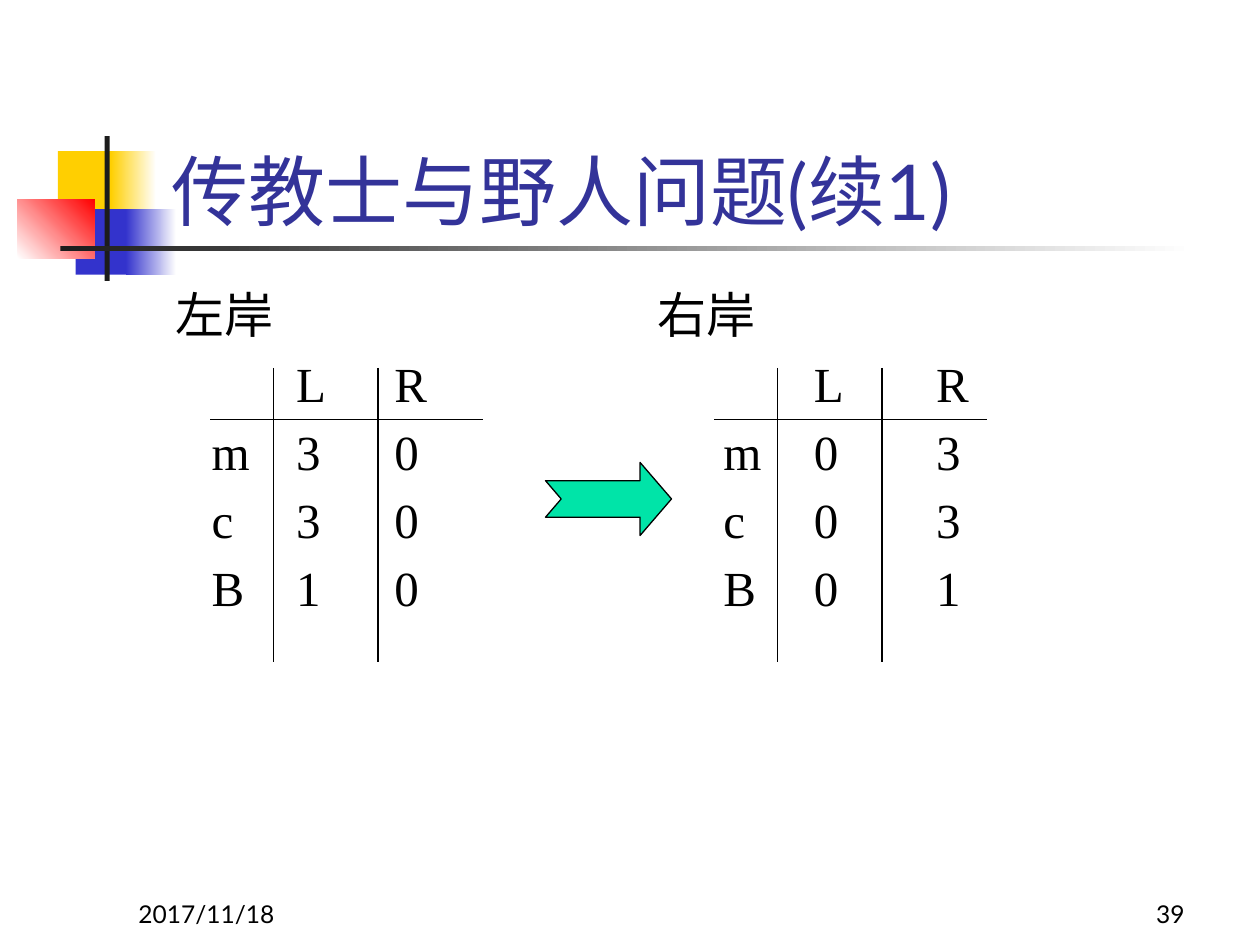
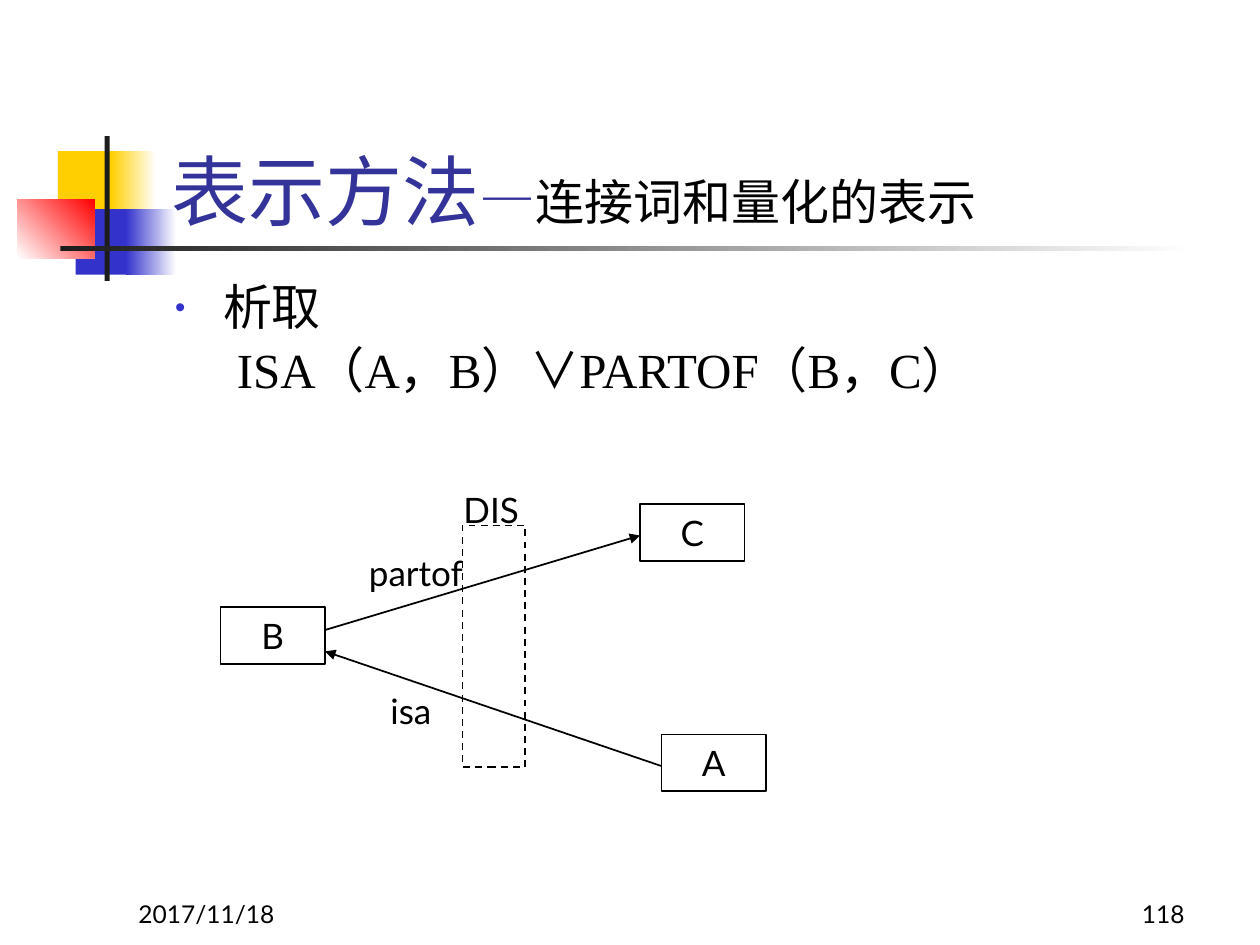
from lxml.etree import SubElement
from pptx import Presentation
from pptx.dml.color import RGBColor
from pptx.enum.dml import MSO_LINE
from pptx.enum.shapes import MSO_CONNECTOR, MSO_SHAPE
from pptx.enum.text import MSO_ANCHOR, MSO_AUTO_SIZE, PP_ALIGN
from pptx.oxml.ns import qn
from pptx.util import Inches, Pt

COLOURS = {
    "title": "333399", "text": "000000", "white": "FFFFFF", "yellow": "FFCF01",
    "blue": "3333CC", "red": "FF0000", "dark": "1C1C1C", "arrow": "00E4A8",
}
SANS, SERIF = "Lato", "Times New Roman"
DATE = "2017/11/18"
TITLE_BOX = (1.26, 0.67, 8.52, 1.25)
DECORATIONS = [
    ((0.46, 1.2, 0.48, 0.52), ["yellow"], 0),
    ((0.88, 1.2, 0.36, 0.52), ["yellow", "white"], 0),
    ((0.6, 1.66, 0.46, 0.52), ["blue"], 0),
    ((1, 1.66, 0.4, 0.52), ["blue", "white"], 0),
    ((0.14, 1.58, 0.61, 0.47), ["white", "red"], 45),
    ((0.83, 1.08, 0.04, 1.15), ["dark"], 0),
    ((0.48, 1.95, 9, 0.04), ["dark", "white"], 0),
]
LEFT_BANK = ["LR", "m30", "c30", "B10"]
RIGHT_BANK = ["LR", "m03", "c03", "B01"]


def colour(name):
    """Return the named colour."""
    return RGBColor.from_string(COLOURS[name])


def inches(box):
    """Turn numbers into lengths."""
    return [Inches(number) for number in box]


def add_span(para, text, size, font=SANS, ink="text"):
    """Add one formatted run to a paragraph."""
    span = para.add_run()
    span.text = text
    span.font.size = Pt(size)
    span.font.name = font
    span.font.color.rgb = colour(ink)


def add_rect(page, box, preset=MSO_SHAPE.RECTANGLE):
    """Add a plain shape without shadow, fill or line."""
    shape = page.shapes.add_shape(preset, *inches(box))
    shape.shadow.inherit = False
    shape.fill.background()
    shape.line.fill.background()
    return shape


def outline(shape, width, dash=None):
    """Draw the outline of a shape or the stroke of a connector."""
    shape.line.color.rgb = colour("text")
    shape.line.width = Pt(width)
    if dash:
        shape.line.dash_style = dash


def add_line(page, start, end, width, arrow=False):
    """Add a straight connector, with an arrowhead at its end if wanted."""
    line = page.shapes.add_connector(MSO_CONNECTOR.STRAIGHT, *inches(start + end))
    outline(line, width)
    properties = line.line._get_or_add_ln()
    if arrow:
        SubElement(properties, qn("a:tailEnd"), type="triangle")
    SubElement(properties.getparent(), qn("a:effectLst"))


def add_label(page, box, text, size, align=PP_ALIGN.LEFT, anchor=MSO_ANCHOR.TOP, font=SANS):
    """Add a wrapped text box with one line of text."""
    frame = page.shapes.add_textbox(*inches(box)).text_frame
    frame.word_wrap = True
    frame.vertical_anchor = anchor
    frame.paragraphs[0].alignment = align
    add_span(frame.paragraphs[0], text, size, font)


def place(holder, box, anchor):
    """Move a placeholder and return its text frame."""
    holder.left, holder.top, holder.width, holder.height = inches(box)
    frame = holder.text_frame
    frame.auto_size = MSO_AUTO_SIZE.NONE
    frame.vertical_anchor = anchor
    return frame


def add_page(deck, title_spans, number):
    """Add a slide with its decoration, title, date and number."""
    page = deck.slides.add_slide(deck.slide_layouts[1])
    for box, names, angle in DECORATIONS:
        fill = add_rect(page, box).fill
        if len(names) == 1:
            fill.solid()
            fill.fore_color.rgb = colour(names[0])
        else:
            fill.gradient()
            fill.gradient_angle = angle
            for stop, name in zip(fill.gradient_stops, names):
                stop.color.rgb = colour(name)
    para = place(page.shapes.title, TITLE_BOX, MSO_ANCHOR.BOTTOM).paragraphs[0]
    para.alignment = PP_ALIGN.LEFT
    for text, size, ink in title_spans:
        add_span(para, text, size, ink=ink)
    for left, text, align in ((1, DATE, PP_ALIGN.LEFT), (7.42, number, PP_ALIGN.RIGHT)):
        add_label(page, (left, 6.92, 2.08, 0.5), text, 14, align, MSO_ANCHOR.BOTTOM)
    return page


def add_body_line(frame, text, margin=0.0, bullet=False, spacing=1.0):
    """Add a body paragraph with its indent and bullet."""
    first = not frame.paragraphs[0].runs
    para = frame.paragraphs[0] if first else frame.add_paragraph()
    para.line_spacing = spacing
    para.space_before = Pt(0 if first else 5.5)
    properties = para._p.get_or_add_pPr()
    properties.set("marL", str(Inches(margin)))
    properties.set("indent", str(-Inches(margin) if bullet else 0))
    if bullet:
        ink = SubElement(properties, qn("a:buClr"))
        SubElement(ink, qn("a:srgbClr"), val=COLOURS["blue"])
        SubElement(properties, qn("a:buSzPct"), val="60000")
        SubElement(properties, qn("a:buChar"), char="•")
    else:
        SubElement(properties, qn("a:buNone"))
    add_span(para, text, 28, SERIF)


def add_state_table(page, left, top, widths, rows):
    """Add one bank's counts as an unfilled table."""
    row_height = 0.54
    box = (left, top, sum(widths), row_height * len(rows))
    table = page.shapes.add_table(len(rows), len(widths), *inches(box)).table
    table.first_row = table.horz_banding = False
    for column, width in zip(table.columns, widths):
        column.width = Inches(width)
    for row, texts in zip(table.rows, rows):
        row.height = Inches(row_height)
        for cell, text in zip(row.cells, texts.rjust(len(widths))):
            cell.fill.background()
            cell.margin_left = cell.margin_right = cell.margin_top = cell.margin_bottom = 0
            add_span(cell.text_frame.paragraphs[0], text.strip(), 28, SERIF)


def add_state_rules(page, left, top):
    """Rule one bank's table from its top left corner."""
    add_line(page, (left, top + 0.41), (left + 2.16, top + 0.41), 0.75)
    for offset in (0.5, 1.33):
        add_line(page, (left + offset, top), (left + offset, top + 2.33), 0.75)


def add_river_page(deck):
    """Build the slide with the start and goal states."""
    page = add_page(deck, [("传教士与野人问题(续1)", 44, "title")], "39")
    frame = place(page.placeholders[1], (1.29, 2.21, 3.5, 0.66), MSO_ANCHOR.TOP)
    add_body_line(frame, "左岸")
    add_label(page, (5.12, 2.21, 3.5, 0.66), "右岸", 28, font=SERIF)
    add_state_table(page, 1.68, 2.85, (0.67, 0.78, 0.7), LEFT_BANK)
    add_state_table(page, 5.74, 2.85, (0.72, 0.97, 0.7), RIGHT_BANK)
    for left in (1.67, 5.67):
        add_state_rules(page, left, 2.92)
    arrow = add_rect(page, (4.33, 3.67, 1, 0.58), MSO_SHAPE.NOTCHED_RIGHT_ARROW)
    arrow.adjustments[1] = 0.43
    arrow.fill.solid()
    arrow.fill.fore_color.rgb = colour("arrow")
    outline(arrow, 0.75)


def add_network(page, left, top):
    """Draw the semantic network from its top left corner."""
    for x, y, name in ((0, 0.99, "B"), (3.5, 2, "A"), (3.33, 0.17, "C")):
        node = add_rect(page, (left + x, top + y, 0.83, 0.45))
        outline(node, 1)
        node.text_frame.vertical_anchor = MSO_ANCHOR.MIDDLE
        para = node.text_frame.paragraphs[0]
        para.alignment = PP_ALIGN.CENTER
        add_span(para, name, 20)
    outline(add_rect(page, (left + 1.92, top + 0.34, 0.5, 1.92)), 1, MSO_LINE.DASH)
    for x, y, end_x, end_y in ((0.83, 1.17, 3.33, 0.42), (3.5, 2.25, 0.83, 1.34)):
        add_line(page, (left + x, top + y), (left + end_x, top + end_y), 1, arrow=True)
    for x, y, width, text in ((1.08, 0.5, 1.17, "partof"), (1.25, 1.59, 0.83, "isa"),
                              (1.83, 0, 0.92, "DIS")):
        add_label(page, (left + x, top + y, width, 0.43), text, 20)


def add_disjunction_page(deck):
    """Build the slide on disjunction in a semantic network."""
    title = [("表示方法", 44, "title"), ("—", 32, "title"), ("连接词和量化的表示", 28, "text")]
    page = add_page(deck, title, "118")
    frame = place(page.placeholders[1], (1.29, 2.2, 8.5, 1.13), MSO_ANCHOR.TOP)
    add_body_line(frame, "析取", 0.38, bullet=True, spacing=0.9)
    add_body_line(frame, "ISA（A，B）∨PARTOF（B，C）", 0.49, spacing=0.9)
    add_network(page, 1.75, 3.83)


def main():
    """Build and save the deck."""
    deck = Presentation()
    deck.slide_width, deck.slide_height = inches((10, 7.5))
    add_river_page(deck)
    add_disjunction_page(deck)
    deck.save("out.pptx")


if __name__ == "__main__":
    main()
